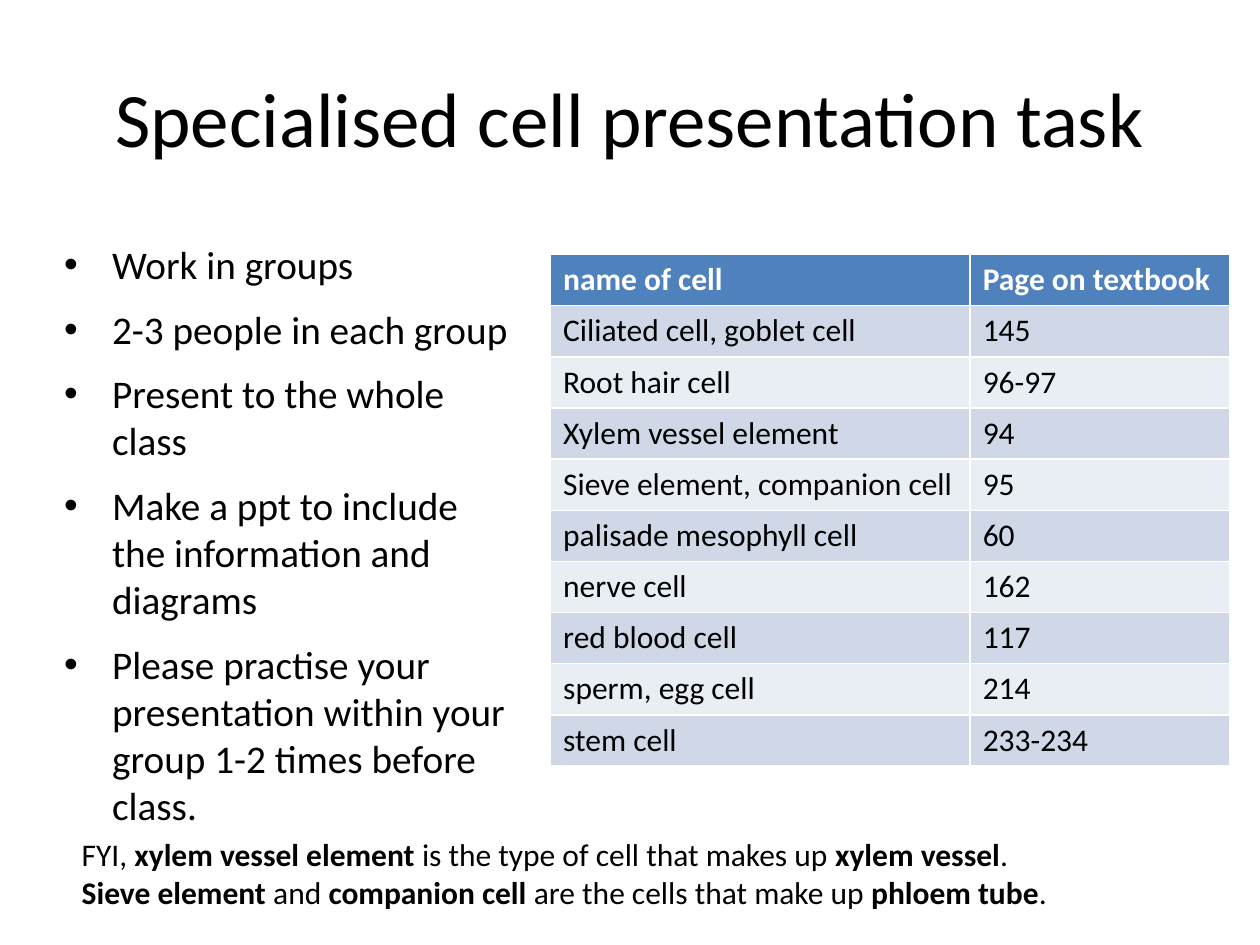
from pptx import Presentation
from pptx.dml.color import RGBColor
from pptx.enum.text import MSO_ANCHOR, MSO_AUTO_SIZE, PP_ALIGN
from pptx.util import Inches, Pt

# Content
TITLE = "Specialised cell presentation task"
TASKS = [
    "Work in groups",
    "2-3 people in each group",
    "Present to the whole class",
    "Make a ppt to include the information and diagrams",
    "Please practise your presentation within your group 1-2 times before class.",
]
CELL_PAGES = [
    ("name of cell", "Page on textbook"),
    ("Ciliated cell, goblet cell", "145"),
    ("Root hair cell", "96-97"),
    ("Xylem vessel element", "94"),
    ("Sieve element, companion cell", "95"),
    ("palisade mesophyll cell", "60"),
    ("nerve cell", "162"),
    ("red blood cell", "117"),
    ("sperm, egg cell", "214"),
    ("stem cell", "233-234"),
]
# Each note line is a list of (text, bold) spans
NOTES = [
    [("FYI, ", False), ("xylem vessel element ", True),
     ("is the type of cell that makes up ", False), ("xylem vessel", True), (".", False)],
    [("Sieve element ", True), ("and ", False), ("companion cell ", True),
     ("are the cells that make up ", False), ("phloem tube", True), (".", False)],
]

# Style
FONT = "Calibri"
BLACK = RGBColor(0x00, 0x00, 0x00)
WHITE = RGBColor(0xFF, 0xFF, 0xFF)
HEADER_BLUE = RGBColor(0x4F, 0x81, 0xBD)
BANDS = [RGBColor(0xE9, 0xED, 0xF4), RGBColor(0xD0, 0xD8, 0xE8)]
COLUMN_WIDTHS = [3.33, 2.06]
ROW_HEIGHT = 0.406
HANGING = Inches(0.38)


def style(span, size, color=BLACK, bold=False):
    font = span.font
    font.name, font.size, font.bold = FONT, Pt(size), bold
    font.color.rgb = color


def place(shape, left, top, width, height):
    shape.left, shape.top = Inches(left), Inches(top)
    shape.width, shape.height = Inches(width), Inches(height)


deck = Presentation()
deck.slide_width, deck.slide_height = Inches(10), Inches(7.5)
page = deck.slides.add_slide(deck.slide_layouts[1])

# Title
title = page.shapes.title
place(title, 0.5, 0.3, 9, 1.25)
title.text_frame.text = TITLE
title.text_frame.vertical_anchor = MSO_ANCHOR.MIDDLE
title.text_frame.paragraphs[0].alignment = PP_ALIGN.CENTER
style(title.text_frame.paragraphs[0].runs[0], 44)

# Task list
body = page.placeholders[1]
place(body, 0.41, 1.86, 3.79, 4.95)
body.text_frame.text = "\n".join(TASKS)
body.text_frame.auto_size = MSO_AUTO_SIZE.NONE
for index, para in enumerate(body.text_frame.paragraphs):
    para.space_before = Pt(10 if index else 0)
    properties = para._p.get_or_add_pPr()
    properties.set("marL", str(HANGING))
    properties.set("indent", str(-HANGING))
    style(para.runs[0], 22.4)

# Table of cells and textbook pages
table = page.shapes.add_table(
    len(CELL_PAGES), len(COLUMN_WIDTHS), Inches(4.37), Inches(2.02),
    Inches(sum(COLUMN_WIDTHS)), Inches(ROW_HEIGHT * len(CELL_PAGES))).table
for column, width in zip(table.columns, COLUMN_WIDTHS):
    column.width = Inches(width)
for row_index, row in enumerate(CELL_PAGES):
    header = row_index == 0
    for column_index, text in enumerate(row):
        cell = table.cell(row_index, column_index)
        cell.text_frame.text = text
        cell.fill.solid()
        cell.fill.fore_color.rgb = HEADER_BLUE if header else BANDS[row_index % 2]
        style(cell.text_frame.paragraphs[0].runs[0], 18, WHITE if header else BLACK, header)

# Footnote
note = page.shapes.add_textbox(Inches(0.55), Inches(6.58), Inches(7.89), Inches(0.71))
frame = note.text_frame
frame.word_wrap = False
frame.auto_size = MSO_AUTO_SIZE.SHAPE_TO_FIT_TEXT
for index, line in enumerate(NOTES):
    para = frame.add_paragraph() if index else frame.paragraphs[0]
    for text, bold in line:
        span = para.add_run()
        span.text = text
        style(span, 18, bold=bold)

deck.save("out.pptx")
